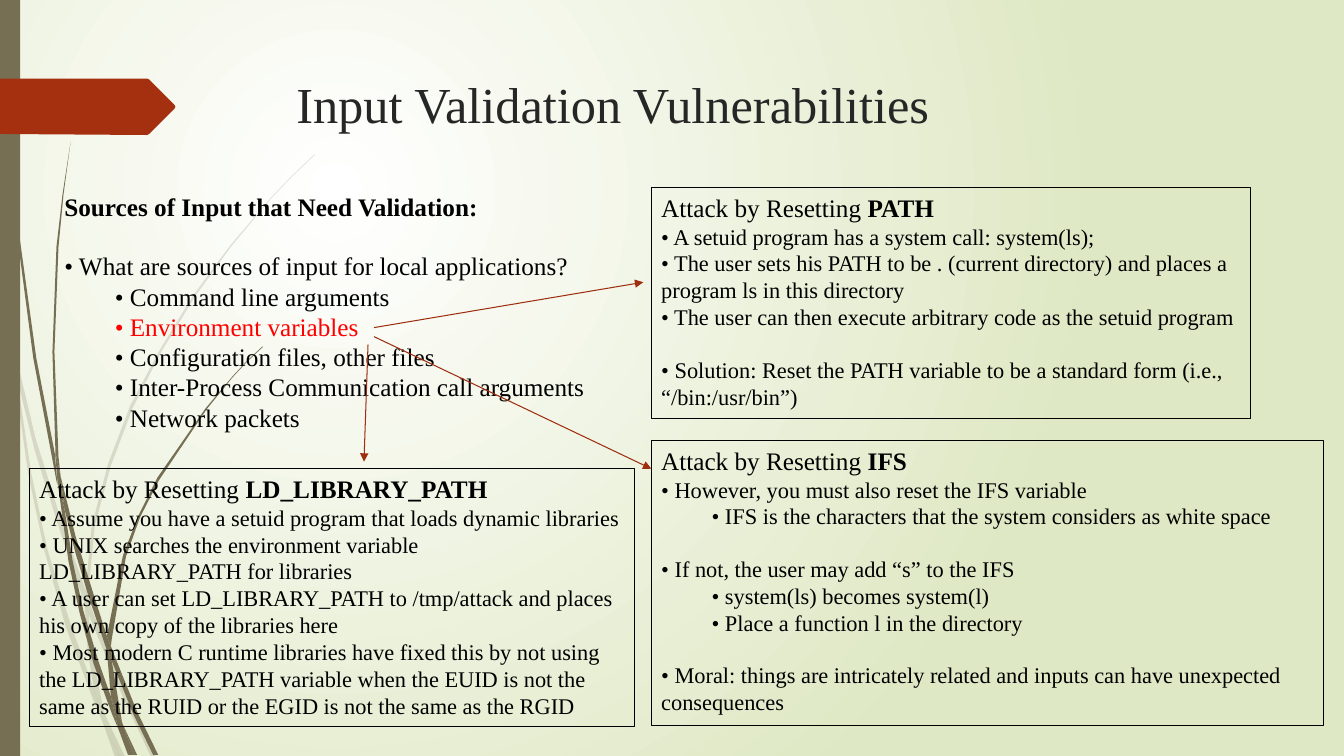
"""Builds the slide on input validation vulnerabilities."""
from dataclasses import dataclass

from lxml import etree
from pptx import Presentation
from pptx.dml.color import RGBColor
from pptx.enum.shapes import MSO_CONNECTOR, MSO_SHAPE
from pptx.enum.text import MSO_ANCHOR
from pptx.oxml.ns import qn
from pptx.util import Pt

STRAIGHT = MSO_CONNECTOR.STRAIGHT
RECTANGLE = MSO_SHAPE.RECTANGLE
TOP = MSO_ANCHOR.TOP
EMU_PER_PX = 9144
SUB_INDENT = 50


@dataclass(frozen=True)
class Theme:
    """Colours and type sizes of the slide."""
    font: str = "Times New Roman"
    glow: str = "FFFFFF"
    field: str = "DFE8C4"
    olive: str = "766F54"
    rust: str = "A53010"
    arrow: str = "9E2E0F"
    heading: str = "262626"
    ink: str = "000000"
    alert: str = "FF0000"
    title_size: int = 36
    lead_size: int = 18
    detail_size: int = 16
    hairline: float = 0.75
    faint: int = 20


@dataclass(frozen=True)
class Line:
    """One paragraph: plain text, then bold text."""
    text: str = ""
    bold: str = ""
    size: int = Theme.detail_size
    colour: str = Theme.ink
    indent: int = 0
    gap: bool = False


THEME = Theme()

FAINT_WISPS = (
    "11,350 9,322 0,282 0,299 10,344",
    "58,522 84,599 85,586 62,520 35,434 14,345 17,376 35,449",
    "92,607 88,596 88,610 123,694 150,751 155,751 127,692",
    "119,751 124,751 105,711",
    "93,683 70,619 47,545 31,469 17,376 11,350 28,470 44,546 65,621 92,693 101,714 99,707",
    "84,599 87,646 93,683 96,692 105,711 103,706 91,646 88,610 88,608",
    "88,584 94,522 110,462 132,404 160,349 193,295 229,245 268,198 290,175 312,154 "
    "312,153 289,175 268,197 228,244 191,294 158,348 129,403 107,461 91,522 85,584 85,586 88,596",
    "101,714 114,751 119,751",
    "88,608 88,610 88,596 85,586 84,599",
    "96,692 93,683 99,707 101,714 119,751 105,711",
)

SOLID_WISPS = (
    "7,110 17,233 33,355 56,477 57,481 55,457 55,453 36,355 19,232 8,109 5,48 4,0 3,0 4,48",
    "88,592 106,645 106,633 106,631 93,590 75,532 60,472 64,505 75,549",
    "113,649 110,641 111,656 132,708 152,749 157,749 136,706",
    "110,691 98,657 83,607 72,556 64,505 57,477 68,557 79,608 93,659 111,708 117,722 116,717",
    "60,472 58,453 54,349 58,245 63,193 70,141 62,193 56,245 52,349 55,449",
    "133,749 136,749 122,719",
    "57,477 64,505 60,472 55,449 55,453",
    "111,633 125,552 139,513 158,476 205,406 231,374 245,359 261,344 260,344 245,358 231,373 "
    "204,405 156,474 137,512 122,551 106,631 110,641",
    "117,722 127,749 131,749",
    "106,645 110,691 116,706 122,719 121,716 111,656 109,651",
    "106,645 109,651 111,656 110,641 106,631 106,633",
    "116,706 110,691 116,717 117,722 130,749 133,749 122,719",
)

TITLE_TAB = "0,78 146,78 148,79 173,104 174,106 173,108 148,133 146,134 0,133"

SOURCES = (
    Line(bold="Sources of Input that Need Validation:", size=THEME.lead_size),
    Line("• What are sources of input for local applications?", size=THEME.lead_size, gap=True),
    Line("• Command line arguments", size=THEME.lead_size, indent=SUB_INDENT),
    Line("• Environment variables", size=THEME.lead_size, indent=SUB_INDENT, colour=THEME.alert),
    Line("• Configuration files, other files", size=THEME.lead_size, indent=SUB_INDENT),
    Line("• Inter-Process Communication call arguments", size=THEME.lead_size, indent=SUB_INDENT),
    Line("• Network packets", size=THEME.lead_size, indent=SUB_INDENT),
)

ATTACKS = (
    ("PATH", (646, 186, 594, 229), (
        Line("• A setuid program has a system call: system(ls);"),
        Line("• The user sets his PATH to be . (current directory) and places a program ls in this directory"),
        Line("• The user can then execute arbitrary code as the setuid program"),
        Line("• Solution: Reset the PATH variable to be a standard form (i.e., “/bin:/usr/bin”)", gap=True))),
    ("IFS", (646, 437, 667, 283), (
        Line("• However, you must also reset the IFS variable"),
        Line("• IFS is the characters that the system considers as white space", indent=SUB_INDENT),
        Line("• If not, the user may add “s” to the IFS", gap=True),
        Line("• system(ls) becomes system(l)", indent=SUB_INDENT),
        Line("• Place a function l in the directory", indent=SUB_INDENT),
        Line("• Moral: things are intricately related and inputs can have unexpected consequences", gap=True))),
    ("LD_LIBRARY_PATH", (29, 465, 600, 256), (
        Line("• Assume you have a setuid program that loads dynamic libraries"),
        Line("• UNIX searches the environment variable LD_LIBRARY_PATH for libraries"),
        Line("• A user can set LD_LIBRARY_PATH to /tmp/attack and places his own copy of the libraries here"),
        Line("• Most modern C runtime libraries have fixed this by not using the LD_LIBRARY_PATH variable "
             "when the EUID is not the same as the RUID or the EGID is not the same as the RGID"))),
)

ARROWS = ((371, 325, 638, 280), (371, 334, 646, 465), (365, 342, 361, 458))


def emu(*lengths):
    """Turn px lengths into EMU."""
    return [length * EMU_PER_PX for length in lengths]


def paint_background(page):
    """Fill the page with a glow that spreads from its upper left quarter."""
    fill = page.background.fill
    fill.gradient()
    for stop, colour in zip(fill.gradient_stops, (THEME.glow, THEME.field)):
        stop.color.rgb = RGBColor.from_string(colour)
    gradient = page.element.xpath(".//p:bg//a:gradFill")[0]
    for linear in gradient.findall(qn("a:lin")):
        gradient.remove(linear)
    circle = etree.SubElement(gradient, qn("a:path"), path="circle")
    etree.SubElement(circle, qn("a:fillToRect"), l="50000", t="50000", r="100000", b="100000")


def fill_plain(shape, colour, opacity=100):
    """Give a shape one colour, no outline and no shadow."""
    shape.shadow.inherit = False
    shape.line.fill.background()
    shape.fill.solid()
    shape.fill.fore_color.rgb = RGBColor.from_string(colour)
    if opacity < 100:
        tint = shape.element.xpath("./p:spPr/a:solidFill/a:srgbClr")[0]
        etree.SubElement(tint, qn("a:alpha"), val=str(opacity * 1000))


def add_outline(shapes, outline, colour, opacity=100):
    """Draw a closed shape through the listed points."""
    start, *others = [emu(*map(int, pair.split(","))) for pair in outline.split()]
    builder = shapes.build_freeform(*start)
    builder.add_line_segments(others, close=True)
    fill_plain(builder.convert_to_shape(), colour, opacity)


def add_wisps(page, outlines, opacity):
    """Group the grass blades of one strength."""
    group = page.shapes.add_group_shape()
    for outline in outlines:
        add_outline(group.shapes, outline, THEME.olive, opacity)


def add_text(page, place, lines, border=False):
    """Add a text box, framed on request."""
    box = page.shapes.add_textbox(*emu(*place))
    if border:
        box.line.color.rgb = RGBColor.from_string(THEME.ink)
        box.line.width = Pt(THEME.hairline)
    frame = box.text_frame
    frame.word_wrap = True
    frame.vertical_anchor = TOP
    for number, line in enumerate(lines):
        para = frame.add_paragraph() if number else frame.paragraphs[0]
        if line.gap:
            para.space_before = Pt(round(line.size * 1.15, 1))
        if line.indent:
            para._p.get_or_add_pPr().set("marL", str(emu(line.indent)[0]))
        for text, bold in ((line.text, False), (line.bold, True)):
            if text:
                span = para.add_run()
                span.text = text
                span.font.name = THEME.font
                span.font.size = Pt(line.size)
                span.font.bold = bold
                span.font.color.rgb = RGBColor.from_string(line.colour)


def add_arrow(page, ends):
    """Add a thin arrow between two points."""
    arrow = page.shapes.add_connector(STRAIGHT, *emu(*ends))
    arrow.line.color.rgb = RGBColor.from_string(THEME.arrow)
    arrow.line.width = Pt(THEME.hairline)
    etree.SubElement(arrow.element.xpath("./p:spPr/a:ln")[0], qn("a:tailEnd"), type="triangle")
    etree.SubElement(arrow.element.spPr, qn("a:effectLst"))


def main():
    """Build and save the deck."""
    deck = Presentation()
    deck.slide_width, deck.slide_height = emu(1333, 750)
    page = deck.slides.add_slide(deck.slide_layouts[6])
    paint_background(page)
    add_wisps(page, FAINT_WISPS, THEME.faint)
    add_wisps(page, SOLID_WISPS, 100)
    fill_plain(page.shapes.add_shape(RECTANGLE, *emu(0, 0, 20, 750)), THEME.olive)
    add_outline(page.shapes, TITLE_TAB, THEME.rust)
    title = Line("Input Validation Vulnerabilities", size=THEME.title_size, colour=THEME.heading)
    add_text(page, (284, 68, 975, 140), [title])
    add_text(page, (54, 185, 544, 252), SOURCES)
    for variable, place, details in ATTACKS:
        heading = Line("Attack by Resetting ", variable, THEME.lead_size)
        add_text(page, place, (heading, *details), border=True)
    for ends in ARROWS:
        add_arrow(page, ends)
    deck.save("out.pptx")


if __name__ == "__main__":
    main()
